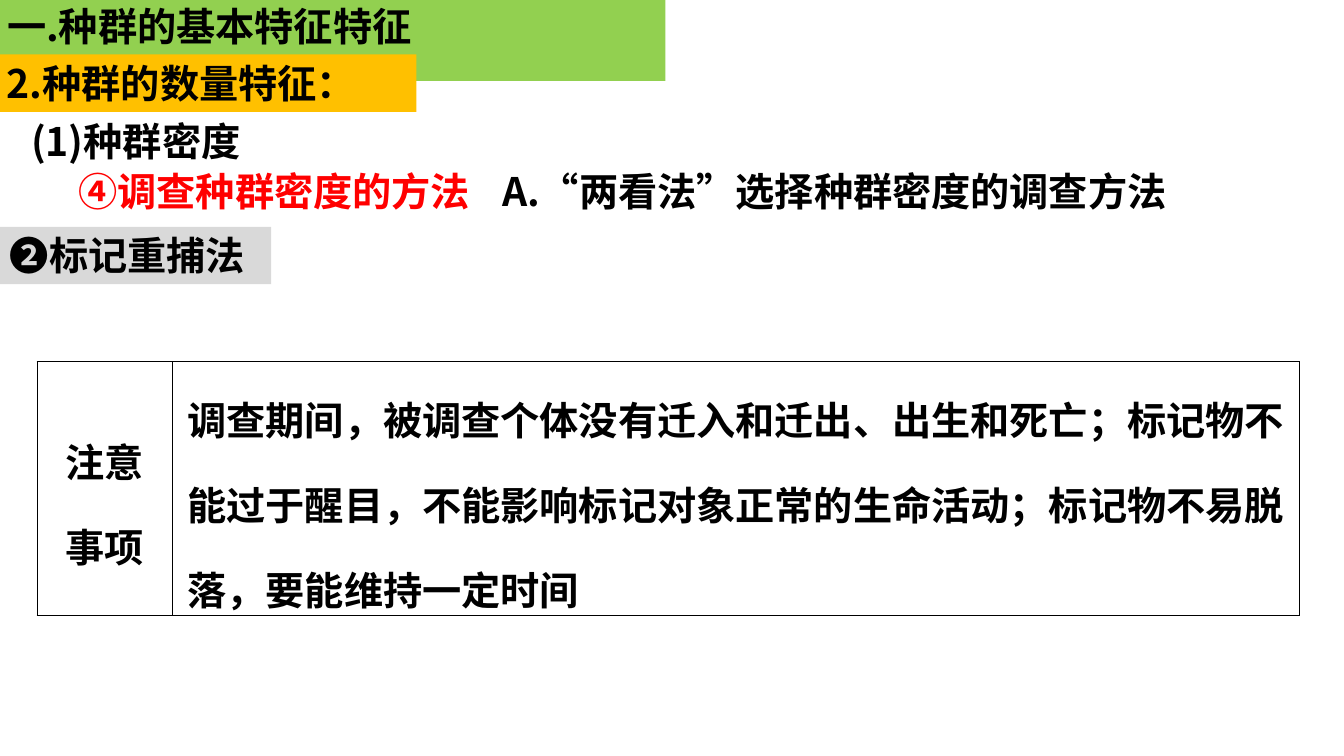
from dataclasses import dataclass

from lxml.etree import SubElement
from pptx import Presentation
from pptx.dml.color import RGBColor
from pptx.enum.shapes import MSO_SHAPE
from pptx.enum.text import MSO_ANCHOR as Anchor, MSO_AUTO_SIZE as AutoSize, PP_ALIGN as Align
from pptx.oxml.ns import qn
from pptx.util import Inches, Pt


@dataclass(frozen=True)
class Theme:
    font: str = "Noto Sans CJK SC"
    size: int = 28
    border: int = 1
    black: str = "000000"
    red: str = "FF0000"
    green: str = "92D050"
    amber: str = "FFC000"
    grey: str = "D9D9D9"


THEME = Theme()
LINE_HEIGHT = 0.57


@dataclass(frozen=True)
class Heading:
    text: str
    left: float
    top: float
    width: float
    fill: str | None = None
    color: str = THEME.black
    align: Align = Align.LEFT


@dataclass(frozen=True)
class NoteCell:
    lines: tuple[str, ...]
    width: float
    align: Align = Align.LEFT
    indent: float = 0


TITLE = Heading("一.种群的基本特征特征", -0.03, -0.03, 6.63, THEME.green)
HEADINGS = (
    Heading("❷标记重捕法", 0, 2.25, 2.69, THEME.grey, align=Align.JUSTIFY),
    Heading("④调查种群密度的方法", 0.68, 1.61, 7.08, color=THEME.red),
    Heading("A.“两看法”选择种群密度的调查方法", 4.86, 1.61, 6.83, align=Align.CENTER),
    Heading("(1)种群密度", 0.21, 1.11, 5.17),
    Heading("2.种群的数量特征：", -0.03, 0.54, 4.16, THEME.amber),
)
NOTE_CELLS = (
    NoteCell(("注意", "事项"), 1.34, Align.CENTER),
    NoteCell(
        ("调查期间，被调查个体没有迁入和迁出、出生和死亡；标记物不能过于醒目，"
         "不能影响标记对象正常的生命活动；标记物不易脱落，要能维持一定时间",),
        11.18, indent=0.08,
    ),
)


def add_run(paragraph, text: str, color: str) -> None:
    run = paragraph.add_run()
    run.text = text
    run.font.size = Pt(THEME.size)
    run.font.bold = True
    run.font.color.rgb = RGBColor.from_string(color)
    run.font.name = THEME.font
    SubElement(run.font._element, qn("a:ea"), typeface=THEME.font)


def format_heading(shape, heading: Heading) -> None:
    shape.left, shape.top = Inches(heading.left), Inches(heading.top)
    shape.width, shape.height = Inches(heading.width), Inches(LINE_HEIGHT)
    if heading.fill:
        shape.fill.solid()
        shape.fill.fore_color.rgb = RGBColor.from_string(heading.fill)
        shape.line.fill.background()
    frame = shape.text_frame
    frame.word_wrap = True
    frame.auto_size = AutoSize.SHAPE_TO_FIT_TEXT
    frame.vertical_anchor = Anchor.TOP
    paragraph = frame.paragraphs[0]
    paragraph.alignment = heading.align
    add_run(paragraph, heading.text, heading.color)


def add_heading(slide, heading: Heading) -> None:
    box = [Inches(value) for value in (heading.left, heading.top, heading.width, LINE_HEIGHT)]
    if heading.fill:
        shape = slide.shapes.add_shape(MSO_SHAPE.RECTANGLE, *box)
        shape.shadow.inherit = False
    else:
        shape = slide.shapes.add_textbox(*box)
    format_heading(shape, heading)


def add_borders(cell) -> None:
    properties = cell._tc.get_or_add_tcPr()
    for side in ("lnL", "lnR", "lnT", "lnB"):
        line = SubElement(properties, qn(f"a:{side}"), w=str(Pt(THEME.border)))
        fill = SubElement(line, qn("a:solidFill"))
        SubElement(fill, qn("a:srgbClr"), val=THEME.black)


def fill_cell(cell, note: NoteCell) -> None:
    cell.margin_left = cell.margin_right = Inches(0.07)
    cell.margin_top = cell.margin_bottom = 0
    cell.vertical_anchor = Anchor.MIDDLE
    add_borders(cell)
    cell.fill.background()
    frame = cell.text_frame
    for index, line in enumerate(note.lines):
        paragraph = frame.add_paragraph() if index else frame.paragraphs[0]
        paragraph.alignment = note.align
        paragraph.line_spacing = 1.5
        if note.indent:
            paragraph._p.get_or_add_pPr().set("marL", str(Inches(note.indent)))
        add_run(paragraph, line, THEME.black)


def add_notes_table(slide, notes: tuple[NoteCell, ...]) -> None:
    width = sum(note.width for note in notes)
    table = slide.shapes.add_table(
        1, len(notes), Inches(0.37), Inches(3.59), Inches(width), Inches(2.52)
    ).table
    table.first_row = table.horz_banding = False
    for column, cell, note in zip(table.columns, table.rows[0].cells, notes):
        column.width = Inches(note.width)
        fill_cell(cell, note)


def main() -> None:
    presentation = Presentation()
    presentation.slide_width, presentation.slide_height = Inches(13.33), Inches(7.5)
    slide = presentation.slides.add_slide(presentation.slide_layouts[5])
    format_heading(slide.shapes.title, TITLE)
    add_notes_table(slide, NOTE_CELLS)
    for heading in HEADINGS:
        add_heading(slide, heading)
    presentation.save("out.pptx")


if __name__ == "__main__":
    main()
